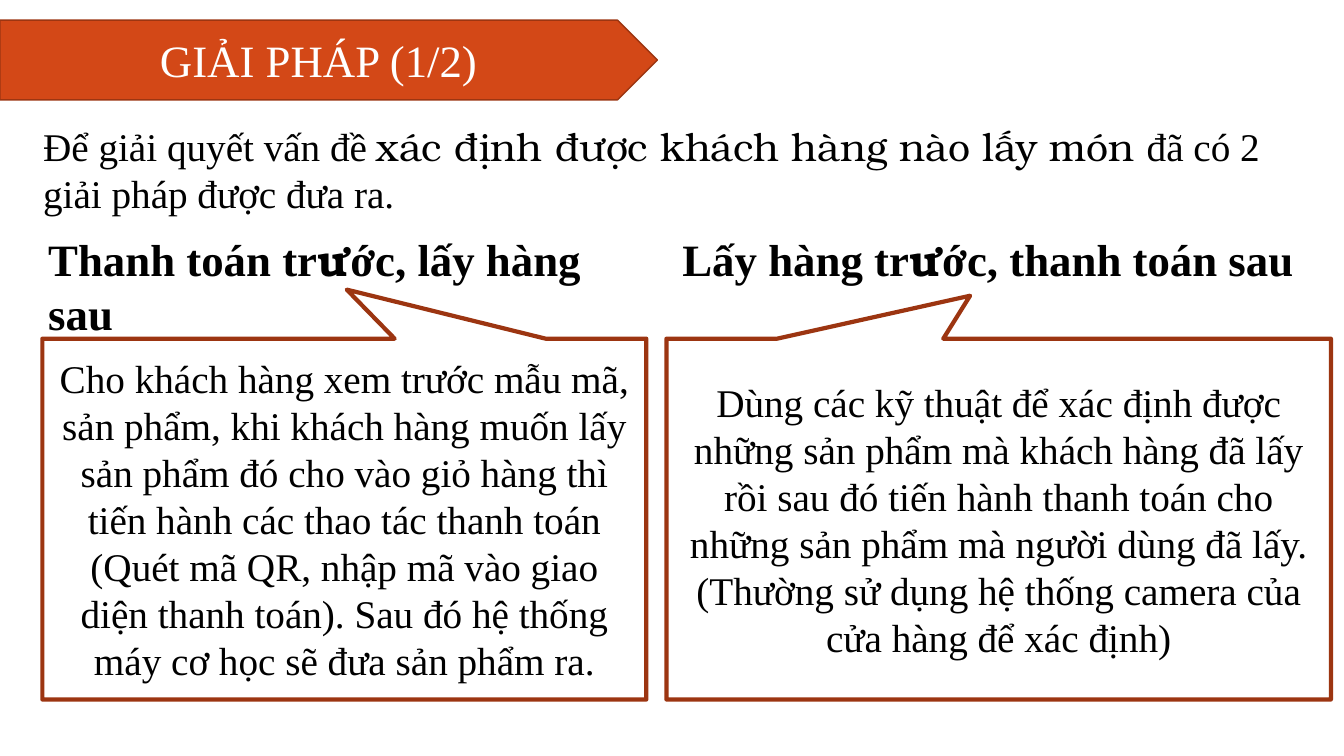
from pptx import Presentation
from pptx.dml.color import RGBColor
from pptx.enum.shapes import MSO_SHAPE
from pptx.enum.text import MSO_ANCHOR, MSO_AUTO_SIZE, PP_ALIGN
from pptx.util import Inches, Pt

COLORS = {"orange": "D34817", "rust": "9C3511", "text": "000000", "white": "FFFFFF"}
SERIF, BONUM = "Times New Roman", "TeX Gyre Bonum"

TITLE = "GIẢI PHÁP (1/2)"
INTRO = [
    ("Để giải quyết vấn đề ", SERIF),
    ("xác định được khách hàng nào lấy món ", BONUM),
    ("đã có 2 giải pháp được đưa ra.", SERIF),
]
SOLUTIONS = [
    {
        "heading": [("Thanh toán tr", SERIF), ("ư", BONUM), ("ớc, lấy hàng sau", SERIF)],
        "heading_span": (0.38, 6.2),
        "callout_span": (0.42, 5.99),
        "tip": (0.004, -0.636),
        "details": [
            "Cho khách hàng xem trước mẫu mã, sản phẩm, khi khách hàng muốn lấy "
            "sản phẩm đó cho vào giỏ hàng thì tiến hành các thao tác thanh toán "
            "(Quét mã QR, nhập mã vào giao diện thanh toán). Sau đó hệ thống máy "
            "cơ học sẽ đưa sản phẩm ra.",
        ],
    },
    {
        "heading": [("Lấy hàng tr", SERIF), ("ư", BONUM), ("ớc, thanh toán sau", SERIF)],
        "heading_span": (6.67, 6.4),
        "callout_span": (6.61, 6.59),
        "tip": (-0.043, -0.619),
        "details": [
            "Dùng các kỹ thuật để xác định được những sản phẩm mà khách hàng đã lấy "
            "rồi sau đó tiến hành thanh toán cho những sản phẩm mà người dùng đã lấy.",
            "(Thường sử dụng hệ thống camera của cửa hàng để xác định)",
        ],
    },
]


def color(name):
    return RGBColor.from_string(COLORS[name])


def style(paragraph, size, ink="text", bold=False):
    paragraph.font.size = Pt(size)
    paragraph.font.bold = bold
    paragraph.font.color.rgb = color(ink)


def add_shape(slide, kind, left, top, width, height, line_width):
    shape = slide.shapes.add_shape(
        kind, Inches(left), Inches(top), Inches(width), Inches(height))
    shape.shadow.inherit = False
    shape.line.color.rgb = color("rust")
    shape.line.width = Pt(line_width)
    return shape


def add_mixed_text(slide, runs, left, top, width, height, size, bold=False):
    box = slide.shapes.add_textbox(
        Inches(left), Inches(top), Inches(width), Inches(height))
    box.text_frame.word_wrap = True
    box.text_frame.auto_size = MSO_AUTO_SIZE.SHAPE_TO_FIT_TEXT
    paragraph = box.text_frame.paragraphs[0]
    style(paragraph, size, bold=bold)
    for text, font in runs:
        run = paragraph.add_run()
        run.text = text
        run.font.name = font


def add_title(slide):
    banner = add_shape(slide, MSO_SHAPE.PENTAGON, 0, 0.2, 6.52, 0.79, 1)
    banner.fill.solid()
    banner.fill.fore_color.rgb = color("orange")

    title = slide.shapes.title
    title.left, title.top = Inches(0), Inches(0.2)
    title.width, title.height = Inches(6.32), Inches(0.79)
    slide.shapes._spTree.append(title._element)
    title.text_frame.text = TITLE
    title.text_frame.vertical_anchor = MSO_ANCHOR.MIDDLE
    paragraph = title.text_frame.paragraphs[0]
    paragraph.alignment = PP_ALIGN.CENTER
    style(paragraph, 32, "white")
    paragraph.font.name = SERIF


def add_solution(slide, solution):
    left, width = solution["callout_span"]
    callout = add_shape(
        slide, MSO_SHAPE.RECTANGULAR_CALLOUT, left, 3.36, width, 3.58, 3)
    callout.fill.background()
    for index, offset in enumerate(solution["tip"]):
        callout.adjustments[index] = offset
    frame = callout.text_frame
    frame.word_wrap = True
    frame.vertical_anchor = MSO_ANCHOR.MIDDLE
    frame.text = "\n".join(solution["details"])
    for paragraph in frame.paragraphs:
        paragraph.alignment = PP_ALIGN.CENTER
        style(paragraph, 28)
        paragraph.font.name = SERIF

    left, width = solution["heading_span"]
    add_mixed_text(slide, solution["heading"], left, 2.25, width, 0.64, 32, bold=True)


def main():
    deck = Presentation()
    deck.slide_width, deck.slide_height = Inches(13.33), Inches(7.5)
    slide = deck.slides.add_slide(deck.slide_layouts[5])
    for solution in SOLUTIONS:
        add_solution(slide, solution)
    add_title(slide)
    add_mixed_text(slide, INTRO, 0.33, 1.16, 12.87, 1.04, 28)
    deck.save("out.pptx")


if __name__ == "__main__":
    main()
